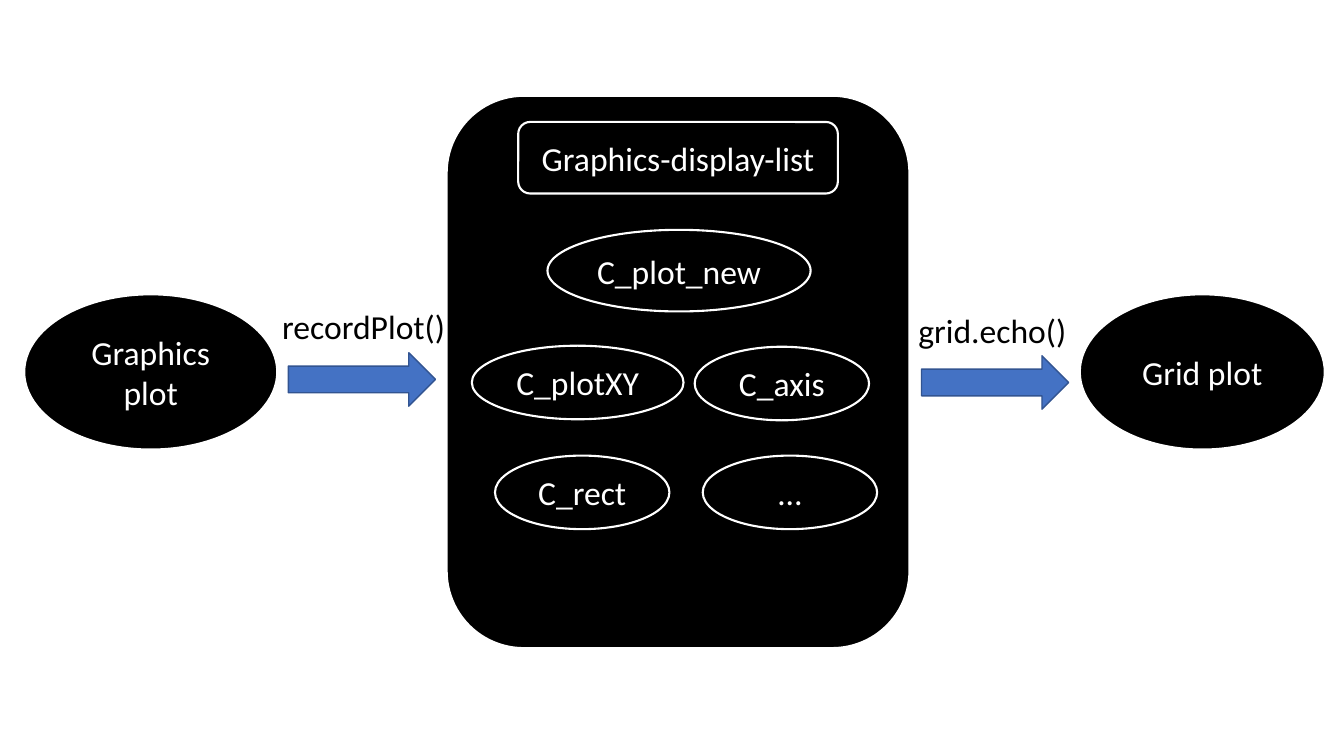
from dataclasses import dataclass

from pptx import Presentation
from pptx.dml.color import RGBColor
from pptx.enum.shapes import MSO_SHAPE as Shape
from pptx.enum.text import MSO_ANCHOR as Anchor, MSO_AUTO_SIZE as AutoSize, PP_ALIGN as Align
from pptx.util import Inches, Pt


@dataclass(frozen=True)
class Theme:
    """Colours, type and line sizes, and the grid cell in inches."""
    dark: RGBColor = RGBColor(0, 0, 0)
    light: RGBColor = RGBColor(255, 255, 255)
    arrow: RGBColor = RGBColor(0x44, 0x72, 0xC4)
    arrow_edge: RGBColor = RGBColor(0x32, 0x54, 0x91)
    font: str = "Calibri"
    size: int = 24
    outline: float = 1.5
    arrow_outline: float = 1
    cell: float = 0.1


class Diagram:
    """Draws flow diagram parts on one slide, in grid columns and rows."""

    def __init__(self, slide, theme):
        self.shapes = slide.shapes
        self.theme = theme

    def box(self, column, row, columns, rows):
        return [Inches(cells * self.theme.cell) for cells in (column, row, columns, rows)]

    def set_text(self, shape, text, color, align):
        paragraph = shape.text_frame.paragraphs[0]
        paragraph.text = text
        paragraph.alignment = align
        paragraph.font.name = self.theme.font
        paragraph.font.size = Pt(self.theme.size)
        paragraph.font.color.rgb = color

    def shape(self, kind, box, fill, edge, width):
        shape = self.shapes.add_shape(kind, *self.box(*box))
        shape.shadow.inherit = False
        shape.fill.solid()
        shape.fill.fore_color.rgb = fill
        shape.line.color.rgb = edge
        shape.line.width = Pt(width)
        return shape

    def node(self, kind, box, text=""):
        theme = self.theme
        shape = self.shape(kind, box, theme.dark, theme.light, theme.outline)
        shape.text_frame.vertical_anchor = Anchor.MIDDLE
        if text:
            self.set_text(shape, text, theme.light, Align.CENTER)

    def label(self, box, text, wrap):
        shape = self.shapes.add_textbox(*self.box(*box))
        shape.text_frame.word_wrap = wrap
        shape.text_frame.auto_size = AutoSize.SHAPE_TO_FIT_TEXT
        self.set_text(shape, text, self.theme.dark, Align.LEFT)

    def arrow(self, column, row):
        theme = self.theme
        box = (column, row, 14.6, 5.3)
        self.shape(Shape.RIGHT_ARROW, box, theme.arrow, theme.arrow_edge, theme.arrow_outline)


def main():
    presentation = Presentation()
    presentation.slide_width = Inches(13.33)
    presentation.slide_height = Inches(7.5)
    slide = presentation.slides.add_slide(presentation.slide_layouts[6])
    diagram = Diagram(slide, Theme())

    diagram.node(Shape.ROUNDED_RECTANGLE, (44.3, 9.5, 45.9, 54.8))
    diagram.node(Shape.ROUNDED_RECTANGLE, (51.4, 12.1, 31.7, 7.1), "Graphics-display-list")

    plot_row, plot_rows = 29.2, 15.4
    call_rows, small_columns, last_row = 7.3, 17.3, 45.2
    ellipses = {
        "Graphics plot": (2.4, plot_row, 25.1, plot_rows),
        "Grid plot": (107.1, plot_row, 24.3, plot_rows),
        "C_plot_new": (54.3, 22.8, 26.1, 8.1),
        "C_plotXY": (46.8, 34.3, 21, call_rows),
        "C_axis": (68.9, 34.4, small_columns, call_rows),
        "C_rect": (49.1, last_row, small_columns, call_rows),
        "…": (69.7, last_row, small_columns, call_rows),
    }
    for text, box in ellipses.items():
        diagram.node(Shape.OVAL, box, text)

    diagram.label((27, 29.9, 19.8, 5), "recordPlot()", wrap=True)
    diagram.label((90.1, 30.3, 16.8, 5), "grid.echo()", wrap=False)
    diagram.arrow(28.6, 35)
    diagram.arrow(91.4, 35.3)

    presentation.save("out.pptx")


if __name__ == "__main__":
    main()
